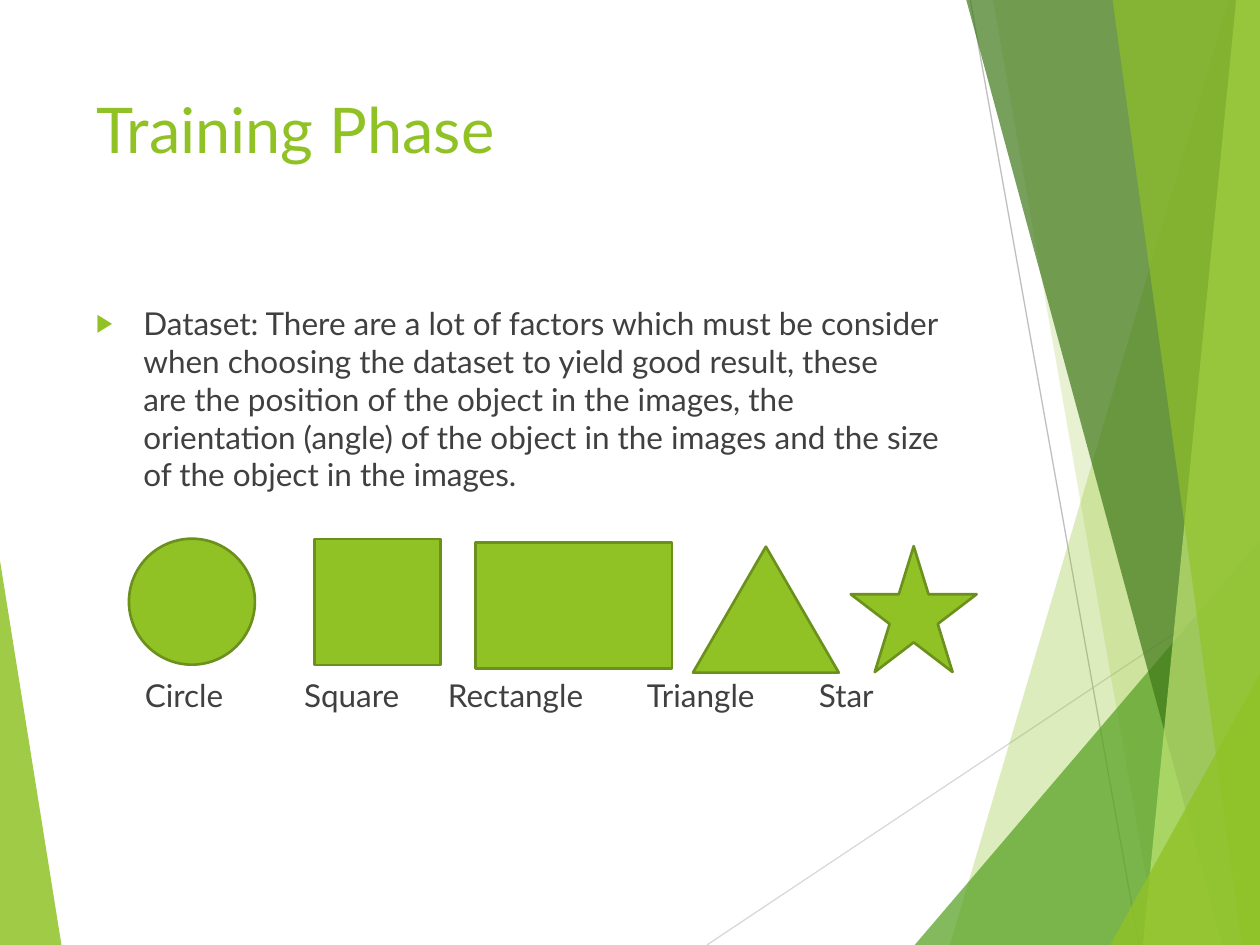
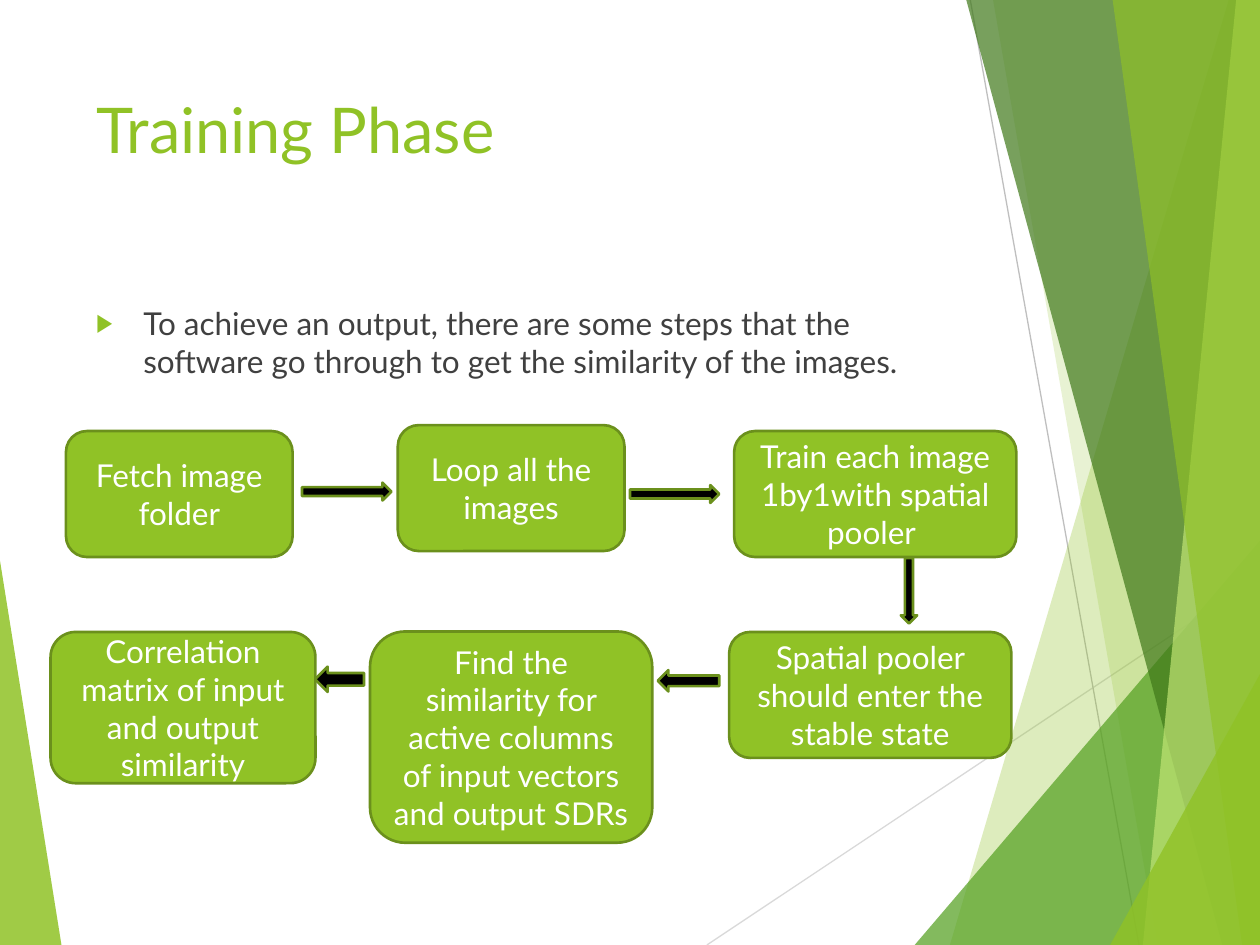
"""Build two slides on the training phase: the dataset shapes and the step flow."""
from lxml.etree import SubElement as Sub
from pptx import Presentation
from pptx.dml.color import RGBColor
from pptx.enum.shapes import MSO_CONNECTOR as Link, MSO_SHAPE as Geo
from pptx.enum.text import MSO_ANCHOR as Anchor, MSO_AUTO_SIZE as Fit, PP_ALIGN as Align
from pptx.oxml.ns import qn
from pptx.util import Cm, Pt

LIME = RGBColor(0x90, 0xC2, 0x26)
PALE = RGBColor(0xC0, 0xE4, 0x74)
GREEN = RGBColor(0x54, 0xA0, 0x21)
DARK = RGBColor(0x3F, 0x78, 0x19)
EDGE = RGBColor(0x6B, 0x90, 0x1C)
INK = RGBColor(0x40, 0x40, 0x40)
BLACK = RGBColor(0, 0, 0)
WHITE = RGBColor(0xFF, 0xFF, 0xFF)
SILVER = RGBColor(0xD9, 0xD9, 0xD9)
GREY = RGBColor(0xBF, 0xBF, 0xBF)

WIDE, HIGH = 25.4, 19.05
HARD = chr(160)
FLUSH = dict.fromkeys(("margin_left", "margin_top", "margin_right", "margin_bottom"), 0)
TOP = {"word_wrap": True, "auto_size": Fit.NONE, "vertical_anchor": Anchor.TOP}
MID = {**TOP, "vertical_anchor": Anchor.MIDDLE}

RAYS = [((14.25, HIGH), (WIDE, 11.62), SILVER), ((19.56, 0), (22.96, HIGH), GREY)]
PANES = [
    ((24.77, 0), 19.15, LIME, 30),
    ((20.02, 0), 23.34, LIME, 20),
    ((WIDE, 10.9), 18.44, GREEN, 72),
    ((19.48, 0), 24.64, DARK, 70),
    ((24.92, 0), 23.04, PALE, 70),
    ((22.43, 0), 25.04, LIME, 65),
    ((WIDE, 13.59), 22.38, LIME, 80),
]

FORMS = [
    (Geo.OVAL, (2.6, 10.86, 2.54, 2.54), "Circle", 2.92),
    (Geo.RECTANGLE, (6.34, 10.87, 2.54, 2.54), "Square", 6.13),
    (Geo.RECTANGLE, (9.59, 10.94, 3.96, 2.54), "Rectangle", 9.03),
    (Geo.ISOSCELES_TRIANGLE, (13.97, 11.02, 2.94, 2.54), "Triangle", 13.04),
    (Geo.STAR_5_POINT, (17.15, 11.01, 2.54, 2.54), "Star", 16.51),
]
STEPS = [
    ("Fetch image folder", (1.33, 8.69, 4.57, 2.54)),
    ("Loop all the images", (8.02, 8.57, 4.57, 2.54)),
    (f"Train each image 1by1with spatial pooler{HARD}", (14.8, 8.69, 5.69, 2.54)),
    ("Spatial pooler should enter the stable state", (14.7, 12.74, 5.69, 2.54)),
    ("Find the similarity for active columns of input vectors and output SDRs",
     (7.46, 12.73, 5.69, 4.26)),
    ("Correlation matrix of input and output similarity", (1.02, 12.74, 5.34, 3.05)),
]
ARROWS = [
    (Geo.RIGHT_ARROW, (6.09, 9.73, 1.8, 0.36)),
    (Geo.RIGHT_ARROW, (12.7, 9.78, 1.8, 0.36)),
    (Geo.DOWN_ARROW, (18.16, 11.25, 0.33, 1.32)),
    (Geo.LEFT_ARROW, (13.26, 13.51, 1.24, 0.43)),
    (Geo.LEFT_ARROW, (6.35, 13.44, 0.99, 0.51)),
]
DATA = (f"Dataset:{HARD}There are a lot of factors which must be consider when choosing "
        f"the dataset to yield good result, these are{HARD}the position of the object in "
        "the images, the orientation (angle) of the object in the images and the "
        "size of the object in the images.")
GOAL = ("To achieve an output, there are some steps that the software go through "
        "to get the similarity of the images.")


def apply(item, vals):
    for key, val in vals.items():
        setattr(item, key, val)


def spots(nums):
    return [Cm(num) for num in nums]


def write(shape, text, frame, size=18, hue=INK, align=Align.LEFT):
    apply(shape.text_frame, frame)
    para = shape.text_frame.paragraphs[0]
    para.alignment = align
    run = para.add_run()
    run.text = text
    apply(run.font, {"name": "Lato", "size": Pt(size)})
    run.font.color.rgb = hue
    return para


def paint(shape, hue):
    shape.shadow.inherit = False
    shape.fill.solid()
    shape.fill.fore_color.rgb = hue


def add_form(slide, kind, area, hue=LIME):
    shape = slide.shapes.add_shape(kind, *spots(area))
    paint(shape, hue)
    shape.line.color.rgb = EDGE
    shape.line.width = Pt(1.5)
    return shape


def add_pane(slide, top, foot, hue, alpha, side=WIDE):
    first, *rest = [spots(dot) for dot in (top, (foot, HIGH), (side, HIGH), (side, top[1]))]
    path = slide.shapes.build_freeform(*first)
    path.add_line_segments(rest)
    shape = path.convert_to_shape()
    paint(shape, hue)
    shape.line.fill.background()
    tint = shape._element.spPr.find(f".//{qn('a:srgbClr')}")
    Sub(tint, qn("a:alpha"), val=str(alpha * 1000))


def add_ray(slide, start, end, hue):
    ray = slide.shapes.add_connector(Link.STRAIGHT, *spots(start + end))
    ray.line.color.rgb = hue
    ray.line.width = Pt(0.75)
    Sub(ray._element.spPr, qn("a:effectLst"))


def add_text(slide, area, text, frame):
    return write(slide.shapes.add_textbox(*spots(area)), text, frame)


def add_point(slide, text):
    para = add_text(slide, (1.69, 6.01, 17.63, 10.77), text, TOP)
    props = para._p.get_or_add_pPr()
    props.set("marL", str(Cm(0.95)))
    props.set("indent", str(-Cm(0.95)))
    Sub(Sub(props, qn("a:buClr")), qn("a:srgbClr"), val=str(LIME))
    Sub(props, qn("a:buSzPct"), val="80000")
    Sub(props, qn("a:buFont"), typeface="Arial")
    Sub(props, qn("a:buChar"), char="▶")


def add_page(deck, point):
    slide = deck.slides.add_slide(deck.slide_layouts[5])
    add_pane(slide, (0, 11.3), 1.24, LIME, 85, side=0)
    for ray in RAYS:
        add_ray(slide, *ray)
    for pane in PANES:
        add_pane(slide, *pane)
    title = slide.shapes.title
    apply(title, dict(zip(("left", "top", "width", "height"), spots((1.69, 1.69, 17.63, 3.66)))))
    write(title, "Training Phase", TOP, 36, LIME)
    add_point(slide, point)
    return slide


def main():
    deck = Presentation()
    apply(deck, {"slide_width": Cm(WIDE), "slide_height": Cm(HIGH)})

    slide = add_page(deck, DATA)
    for kind, area, name, left in FORMS:
        add_form(slide, kind, area)
        add_text(slide, (left, 13.62, 3, 0.8), name, {**TOP, **FLUSH})

    slide = add_page(deck, GOAL)
    for text, area in STEPS:
        step = add_form(slide, Geo.ROUNDED_RECTANGLE, area)
        write(step, text, MID, hue=WHITE, align=Align.CENTER)
    for kind, area in ARROWS:
        add_form(slide, kind, area, BLACK)

    deck.save("out.pptx")


if __name__ == "__main__":
    main()
